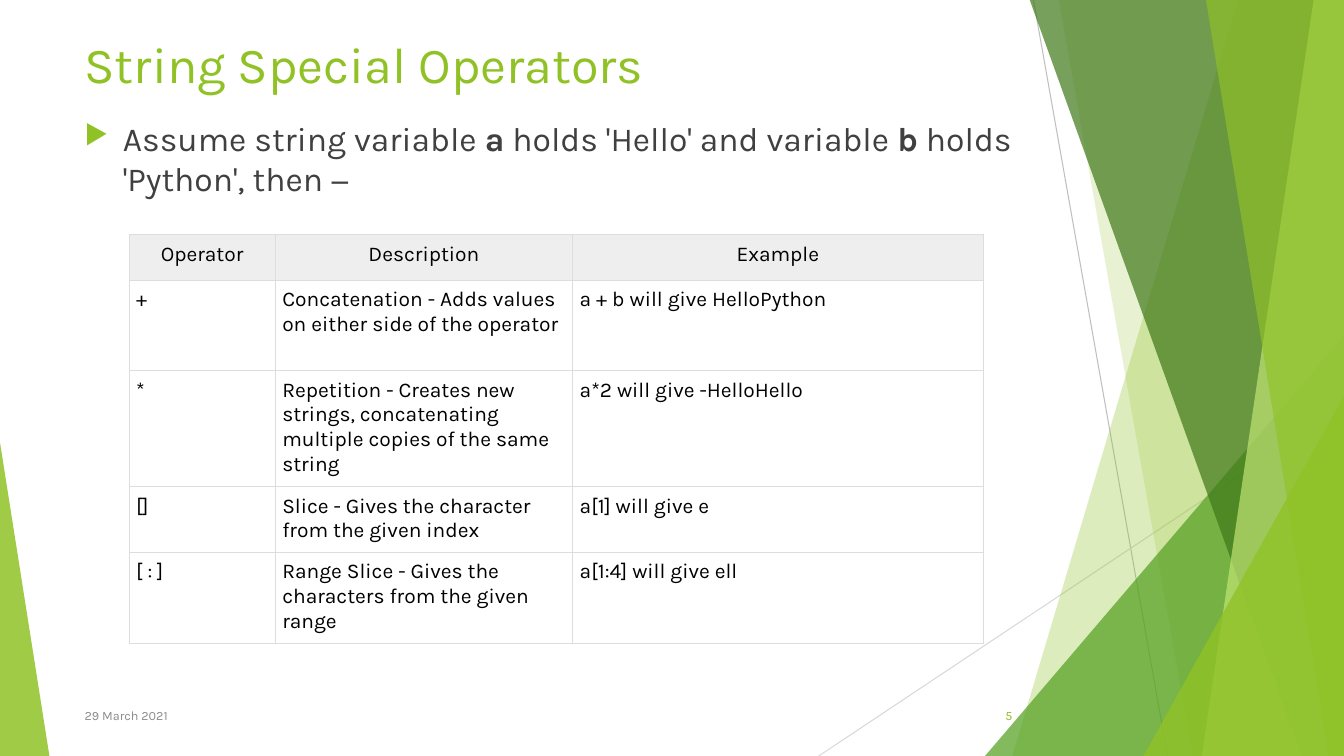
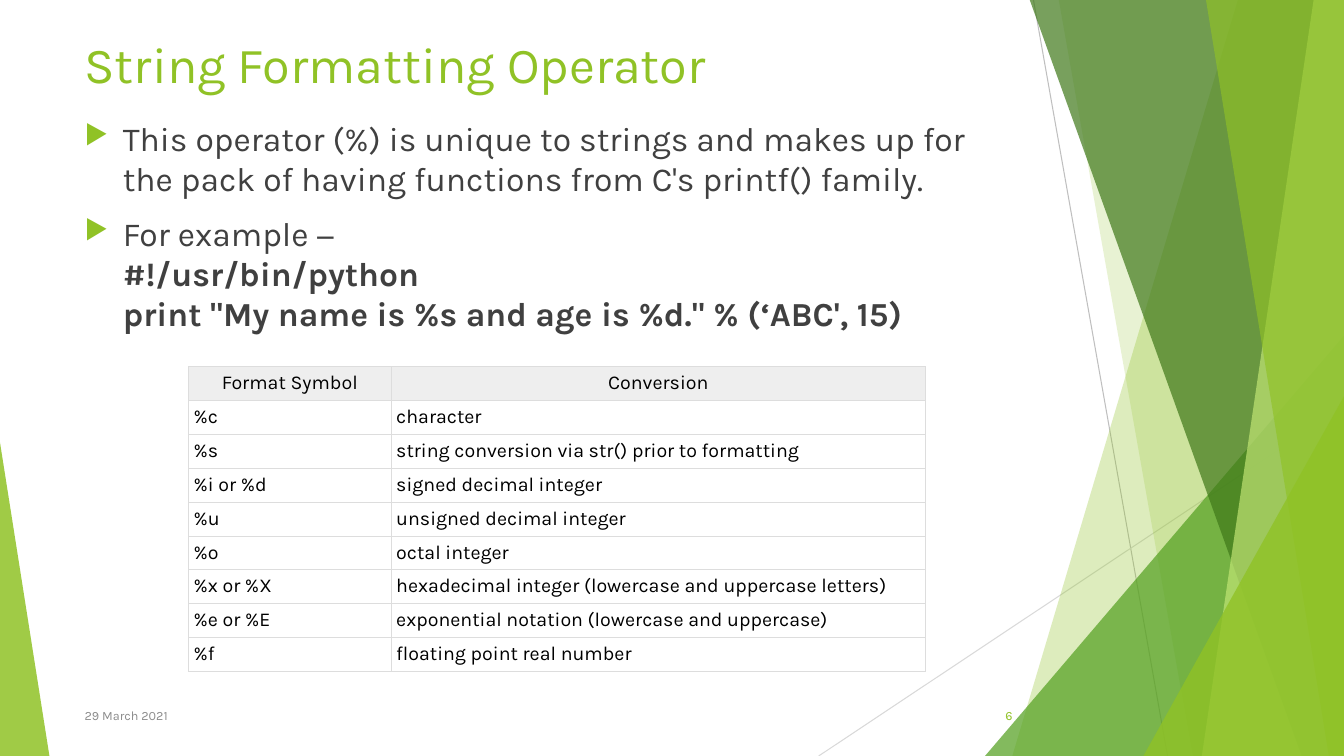
from pptx import Presentation
from pptx.dml.color import RGBColor
from pptx.enum.shapes import MSO_CONNECTOR, MSO_SHAPE
from pptx.enum.text import MSO_ANCHOR, PP_ALIGN
from pptx.oxml import parse_xml
from pptx.oxml.ns import nsdecls, qn
from pptx.util import Inches, Pt
from lxml.etree import SubElement

FONT = "Karla"
LIME = RGBColor(0x90, 0xC2, 0x26)
GREEN = RGBColor(0x54, 0xA0, 0x21)
DARK = RGBColor(0x3F, 0x78, 0x19)
PALE = RGBColor(0xC0, 0xE4, 0x74)
TEXT = RGBColor(0x40, 0x40, 0x40)
DATE = RGBColor(0x8C, 0x8C, 0x8C)
BLACK = RGBColor(0, 0, 0)
HEAD = RGBColor(0xEE, 0xEE, 0xEE)
RULE = RGBColor(0xDD, 0xDD, 0xDD)
WIDE, HIGH, TOP = 13.33, 7.5, -0.01

# Thin lines: colour, start, end
LINES = [
    (RGBColor(0xBF, 0xBF, 0xBF), (10.25, 0), (11.58, HIGH)),
    (RGBColor(0xD9, 0xD9, 0xD9), (WIDE, 4.03), (8.12, HIGH)),
]
# Bands from back to front: colour, opacity, then either the left edge's
# top and bottom x, or a triangle's left, top, width and lean
BANDS = [
    (LIME, 30, (12.28, 10.04)),
    (LIME, 20, (10.5, 11.83)),
    (GREEN, 72, (9.77, 3.33, 3.56, 1)),
    (DARK, 70, (10.21, 12.91)),
    (PALE, 70, (13.03, 11.92)),
    (LIME, 65, (11.96, 13.18)),
    (LIME, 80, (11.34, 3.93, 1.99, 1)),
    (LIME, 85, (0, 4.39, 0.49, 0)),
]

# In texts, ** switches bold on and off
PAGES = [
    dict(
        title="String Special Operators", number="5",
        body=["Assume string variable\u00a0**a**\u00a0holds 'Hello' and "
              "variable\u00a0**b**\u00a0holds 'Python', then \u2212"],
        left=1.28, top=2.33, size=15, inset=0.07,
        cols=[1.45, 2.95, 4.07], heights=[0.45, 0.9, 1.15, 0.65, 0.9],
        rows=[
            ("Operator", "Description", "Example"),
            ("+", "Concatenation - Adds values on either side of the operator",
             "a + b will give HelloPython"),
            ("*", "Repetition - Creates new strings, concatenating multiple "
             "copies of the same string", "a*2 will give -HelloHello"),
            ("[]", "Slice - Gives the character from the given index",
             "a[1] will give e"),
            ("[ : ]", "Range Slice - Gives the characters from the given range",
             "a[1:4] will give ell"),
        ],
    ),
    dict(
        title="String Formatting Operator", number="6",
        body=["This operator (%) is unique to strings and makes up for the pack "
              "of having functions from C's printf() family.",
              "For example \u2212\n**#!/usr/bin/python\nprint \"My name is %s "
              "and age is %d.\" % (\u2018ABC', 15)**"],
        left=1.87, top=3.64, size=14, inset=0.05,
        cols=[2.01, 5.3], heights=[3.02 / 9] * 9,
        rows=[
            ("Format Symbol", "Conversion"),
            ("%c", "character"),
            ("%s", "string conversion via str() prior to formatting"),
            ("%i or %d", "signed decimal integer"),
            ("%u", "unsigned decimal integer"),
            ("%o", "octal integer"),
            ("%x or %X", "hexadecimal integer (lowercase and uppercase letters)"),
            ("%e or %E", "exponential notation (lowercase and uppercase)"),
            ("%f", "floating point real number"),
        ],
    ),
]


def write(frame, *texts, size=15, color=BLACK, align=PP_ALIGN.LEFT,
          anchor=MSO_ANCHOR.TOP, bullet=False):
    frame.word_wrap = True
    frame.vertical_anchor = anchor
    for i, text in enumerate(texts):
        para = frame.add_paragraph() if i else frame.paragraphs[0]
        para.alignment = align
        if bullet:
            para.space_before = Pt(10)
            props = para._p.get_or_add_pPr()
            props.set("marL", str(Inches(0.38)))
            props.set("indent", str(-Inches(0.38)))
            tint = SubElement(props, qn("a:buClr"))
            SubElement(tint, qn("a:srgbClr"), val=str(LIME))
            SubElement(props, qn("a:buSzPct"), val="80000")
            SubElement(props, qn("a:buChar"), char="\u25b6")
        for j, part in enumerate(text.split("**")):
            for k, line in enumerate(part.split("\n")):
                if k:
                    para.add_line_break()
                if line:
                    run = para.add_run()
                    run.text = line
                    run.font.name = FONT
                    run.font.size = Pt(size)
                    run.font.bold = j % 2 == 1
                    run.font.color.rgb = color


def box(slide, left, top, width, height, *texts, **style):
    shape = slide.shapes.add_textbox(
        Inches(left), Inches(top), Inches(width), Inches(height))
    write(shape.text_frame, *texts, **style)


deck = Presentation()
deck.slide_width, deck.slide_height = Inches(WIDE), Inches(HIGH)

for page in PAGES:
    slide = deck.slides.add_slide(deck.slide_layouts[6])
    shapes = slide.shapes

    # Thin lines
    for color, start, end in LINES:
        line = shapes.add_connector(
            MSO_CONNECTOR.STRAIGHT, *map(Inches, start + end))
        line.line.color.rgb = color
        line.line.width = Pt(0.75)
        SubElement(line.element.spPr, qn("a:effectLst"))

    # Green bands
    for color, alpha, form in BANDS:
        if len(form) == 2:
            upper, lower = form
            pen = shapes.build_freeform(Inches(upper), Inches(TOP))
            pen.add_line_segments(
                [(Inches(x), Inches(y)) for x, y in
                 [(WIDE, TOP), (WIDE, HIGH), (lower, HIGH)]], close=True)
            band = pen.convert_to_shape()
        else:
            left, top, width, lean = form
            band = shapes.add_shape(
                MSO_SHAPE.ISOSCELES_TRIANGLE, Inches(left), Inches(top),
                Inches(width), Inches(HIGH - top))
            band.adjustments[0] = lean
        band.shadow.inherit = False
        band.line.fill.background()
        band.fill.solid()
        band.fill.fore_color.rgb = color
        tint = band.element.spPr.find(".//" + qn("a:srgbClr"))
        SubElement(tint, qn("a:alpha"), val=str(alpha * 1000))

    # Title, body and footer
    box(slide, 0.74, 0.28, 9.4, 0.73, page["title"], size=36, color=LIME)
    box(slide, 0.74, 1.12, 9.4, 5.78, *page["body"],
        size=24, color=TEXT, bullet=True)
    box(slide, 9.39, 6.9, 0.75, 0.4, page["number"], size=9, color=LIME,
        align=PP_ALIGN.RIGHT, anchor=MSO_ANCHOR.MIDDLE)
    box(slide, 0.74, 6.9, 6.89, 0.4, "29 March 2021", size=9, color=DATE,
        anchor=MSO_ANCHOR.MIDDLE)

    # Table
    cols, rows = page["cols"], page["rows"]
    table = shapes.add_table(
        len(rows), len(cols), Inches(page["left"]), Inches(page["top"]),
        Inches(sum(cols)), Inches(sum(page["heights"]))).table
    table.first_row = table.horz_banding = False
    for col, width in zip(table.columns, cols):
        col.width = Inches(width)
    for r, (row, height) in enumerate(zip(rows, page["heights"])):
        table.rows[r].height = Inches(height)
        for c, text in enumerate(row):
            cell = table.cell(r, c)
            cell.margin_left = cell.margin_right = Inches(page["inset"])
            cell.margin_top = cell.margin_bottom = Inches(page["inset"])
            write(cell.text_frame, text, size=page["size"],
                  align=PP_ALIGN.LEFT if r else PP_ALIGN.CENTER)
            props = cell._tc.get_or_add_tcPr()
            for side in ("lnL", "lnR", "lnT", "lnB"):
                props.append(parse_xml(
                    f'<a:{side} {nsdecls("a")} w="{Pt(0.75)}"><a:solidFill>'
                    f'<a:srgbClr val="{RULE}"/></a:solidFill></a:{side}>'))
            if r:
                cell.fill.background()
            else:
                cell.fill.solid()
                cell.fill.fore_color.rgb = HEAD

deck.save("out.pptx")
